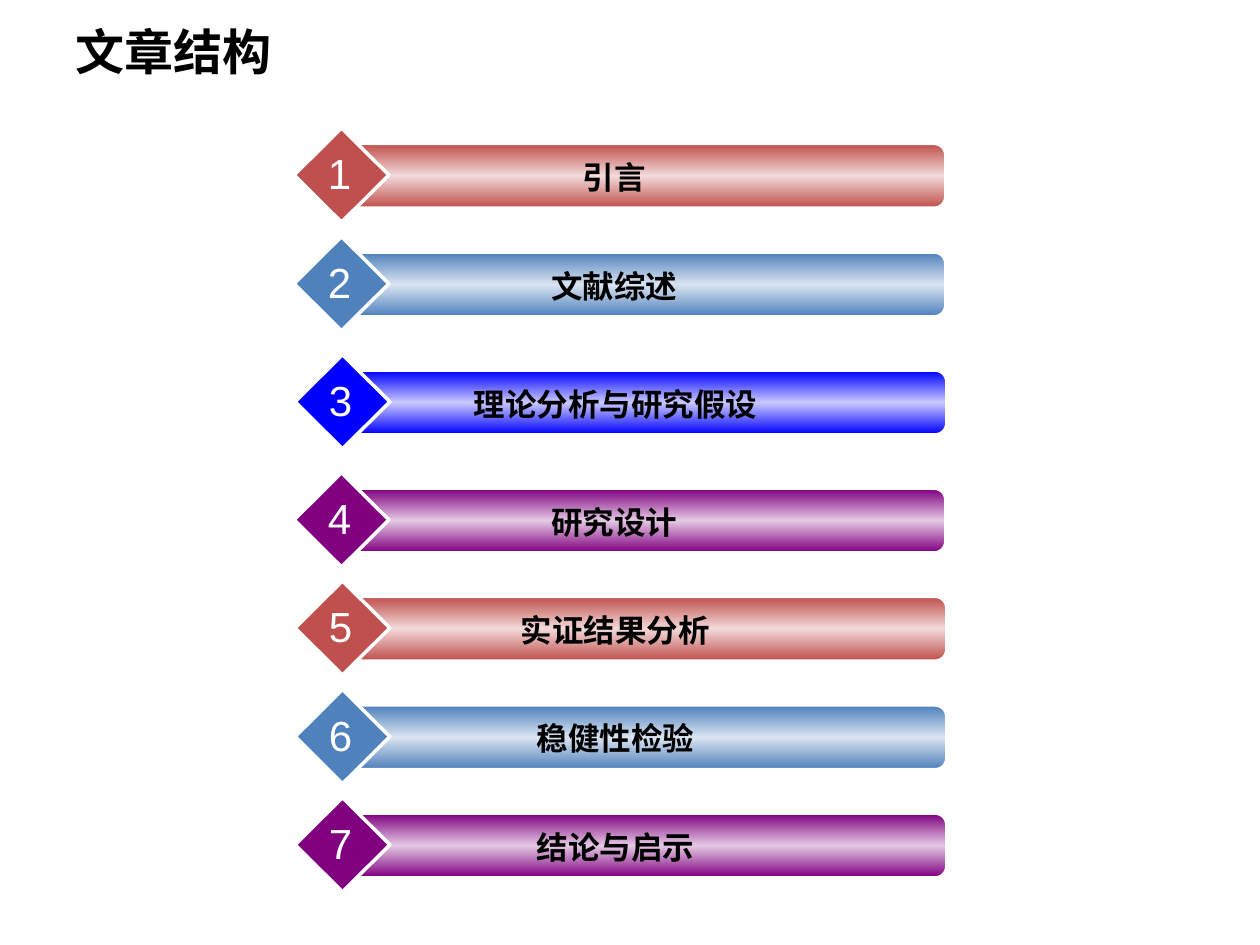
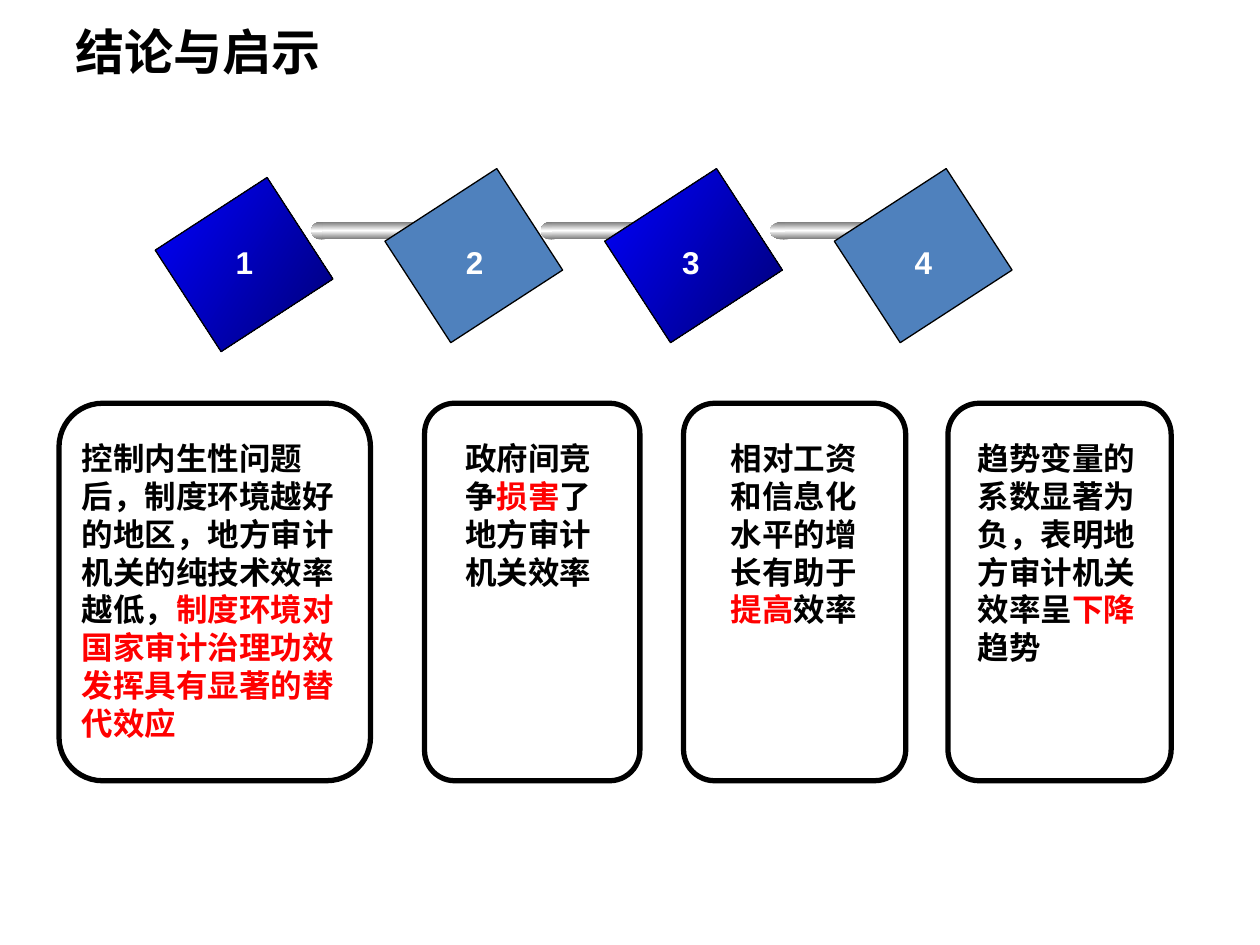
import copy
import pptx
import pptx.dml.color
import pptx.enum.shapes
import pptx.enum.text
import pptx.oxml.ns
import pptx.util

Cm = pptx.util.Cm
Pt = pptx.util.Pt
Kind = pptx.enum.shapes.MSO_SHAPE
Align = pptx.enum.text.PP_ALIGN
Anchor = pptx.enum.text.MSO_ANCHOR
colour = pptx.dml.color.RGBColor.from_string

# Shared colours and text formats
BLACK, WHITE, HIGHLIGHT = "000000", "FFFFFF", "FF0000"
RED, STEEL, BLUE, PURPLE = "C0504D", "4F81BD", "0000FF", "800080"
MIDDLE_TINT = {RED: "F2DAD9", STEEL: "DAE4F1", BLUE: "C9C9FF", PURPLE: "E4C9E4"}
TILE_BLUE = [BLUE, "000076"]
METAL = ["767676", WHITE, "767676"]
TITLE = {"name": "Calibri", "size": Pt(28), "bold": True}
BODY = {"name": "Arial", "size": Pt(18), "bold": True}
NUMBER = {"name": "Arial", "size": Pt(24), "bold": False}


def add_figure(page, kind, place, fills=(), line=None, angle=90):
    """Place a shape; one fill is solid, several make a clockwise gradient."""
    shape = page.shapes.add_shape(kind, *map(Cm, place))
    shape.shadow.inherit = False
    if len(fills) > 1:
        shape.fill.gradient()
        shape.fill.gradient_angle = 360 - angle
        stops = shape.element.spPr.find(".//" + pptx.oxml.ns.qn("a:gsLst"))
        stops.getparent().set("rotWithShape", "0")
        for extra in range(len(fills) - 2):
            stops.append(copy.deepcopy(stops[0]))
        for index, stop in enumerate(shape.fill.gradient_stops):
            stop.position = index / (len(fills) - 1)
            stop.color.rgb = colour(fills[index])
    elif fills:
        shape.fill.solid()
        shape.fill.fore_color.rgb = colour(fills[0])
    else:
        shape.fill.background()
    if line:
        shape.line.color.rgb = colour(line[0])
        shape.line.width = Pt(line[1])
    else:
        shape.line.fill.background()
    return shape


def add_text(page, place, spans, font, align=Align.LEFT, wrap=True, anchor=Anchor.TOP):
    """Place a text box holding one paragraph of (text, colour) spans."""
    box = page.shapes.add_textbox(*map(Cm, place))
    settings = {"word_wrap": wrap, "vertical_anchor": anchor}
    for name, value in settings.items():
        setattr(box.text_frame, name, value)
    para = box.text_frame.paragraphs[0]
    para.alignment = align
    # Keep commas inside the right edge
    box.element.find(".//" + pptx.oxml.ns.qn("a:pPr")).set("hangingPunct", "0")
    for text, hue in spans:
        span = para.add_run()
        span.text = text
        span.font.color.rgb = colour(hue)
        for name, value in font.items():
            setattr(span.font, name, value)


deck = pptx.Presentation()
deck.slide_width, deck.slide_height = Cm(25.4), Cm(19.05)

# Pages with their titles
pages = []
for title in ["文章结构", "结论与启示"]:
    page = deck.slides.add_slide(deck.slide_layouts[6])
    add_text(page, (1.27, 0.33, 22.86, 1.4), [(title, BLACK)], TITLE, anchor=Anchor.MIDDLE)
    pages.append(page)
outline, conclusions = pages

# Outline: a numbered diamond and a glossy bar for each chapter
chapters = [
    ("引言", RED, 5.93, 2.58),
    ("文献综述", STEEL, 5.93, 4.77),
    ("理论分析与研究假设", BLUE, 5.95, 7.15),
    ("研究设计", PURPLE, 5.93, 9.53),
    ("实证结果分析", RED, 5.95, 11.71),
    ("稳健性检验", STEEL, 5.95, 13.9),
    ("结论与启示", PURPLE, 5.95, 16.08),
]
for number, (name, hue, left, top) in enumerate(chapters, 1):
    bar = add_figure(outline, Kind.ROUNDED_RECTANGLE, (left + 1.05, top + 0.33, 12.07, 1.27),
                     [hue, MIDDLE_TINT[hue], hue], (WHITE, 1))
    bar.adjustments[0] = 0.17
    add_figure(outline, Kind.DIAMOND, (left, top, 1.91, 1.9), [hue], (WHITE, 2))
    add_text(outline, (left + 1.69, top + 0.48, 9.53, 1.02), [(name, BLACK)], BODY, Align.CENTER)
    add_text(outline, (left + 0.43, top + 0.27, 0.96, 1.27), [(str(number), WHITE)],
             NUMBER, Align.CENTER, wrap=False)

# Conclusions: metal rods, each running under the tile that follows
for left, stretch in [(6.27, 1), (10.9, 1), (15.52, 1.3)]:
    add_figure(conclusions, Kind.OVAL, (left, 4.47, 0.43 * stretch, 0.36), METAL)
    add_figure(conclusions, Kind.RECTANGLE,
               (left + 0.23 * stretch, 4.47, 2.08 * stretch, 0.36), METAL)

# Tilted, numbered tiles
tiles = [
    (3.7, 3.99, 4.5, TILE_BLUE),
    (8.33, 3.81, 9.14, [STEEL]),
    (12.76, 3.81, 13.5, TILE_BLUE),
    (17.39, 3.81, 18.19, [STEEL]),
]
for number, (left, top, number_left, fills) in enumerate(tiles, 1):
    tile = add_figure(conclusions, Kind.RECTANGLE, (left, top, 2.44, 2.69),
                      fills, (BLACK, 0.75), angle=33)
    tile.rotation = 57
    add_text(conclusions, (number_left, 4.78, 0.86, 1.02), [(str(number), WHITE)],
             BODY, wrap=False)

# Outlined cards: card left and width, text left, width and height, spans
cards = [
    (1.19, 6.28, 1.4, 5.77, 6.35, [
        ("控制内生性问题后，制度环境越好的地区，地方审计机关的纯技术效率越低，", BLACK),
        ("制度环境对国家审计治理功效发挥具有显著的替代效应", HIGHLIGHT)]),
    (8.56, 4.34, 9.13, 3.38, 4.06, [
        ("政府间竞争", BLACK), ("损害", HIGHLIGHT), ("了地方审计机关效率", BLACK)]),
    (13.78, 4.48, 14.48, 3.58, 4.83, [
        ("相对工资和信息化水平的增长有助于", BLACK), ("提高", HIGHLIGHT), ("效率", BLACK)]),
    (19.11, 4.5, 19.46, 3.76, 5.59, [
        ("趋势变量的系数显著为负，表明地方审计机关效率呈", BLACK),
        ("下降", HIGHLIGHT), ("趋势", BLACK)]),
]
for left, width, text_left, text_width, text_height, spans in cards:
    card = add_figure(conclusions, Kind.ROUNDED_RECTANGLE, (left, 8.13, width, 7.61),
                      line=(BLACK, 3))
    card.adjustments[0] = 0.14
    add_text(conclusions, (text_left, 8.73, text_width, text_height), spans, BODY)

deck.save("out.pptx")
